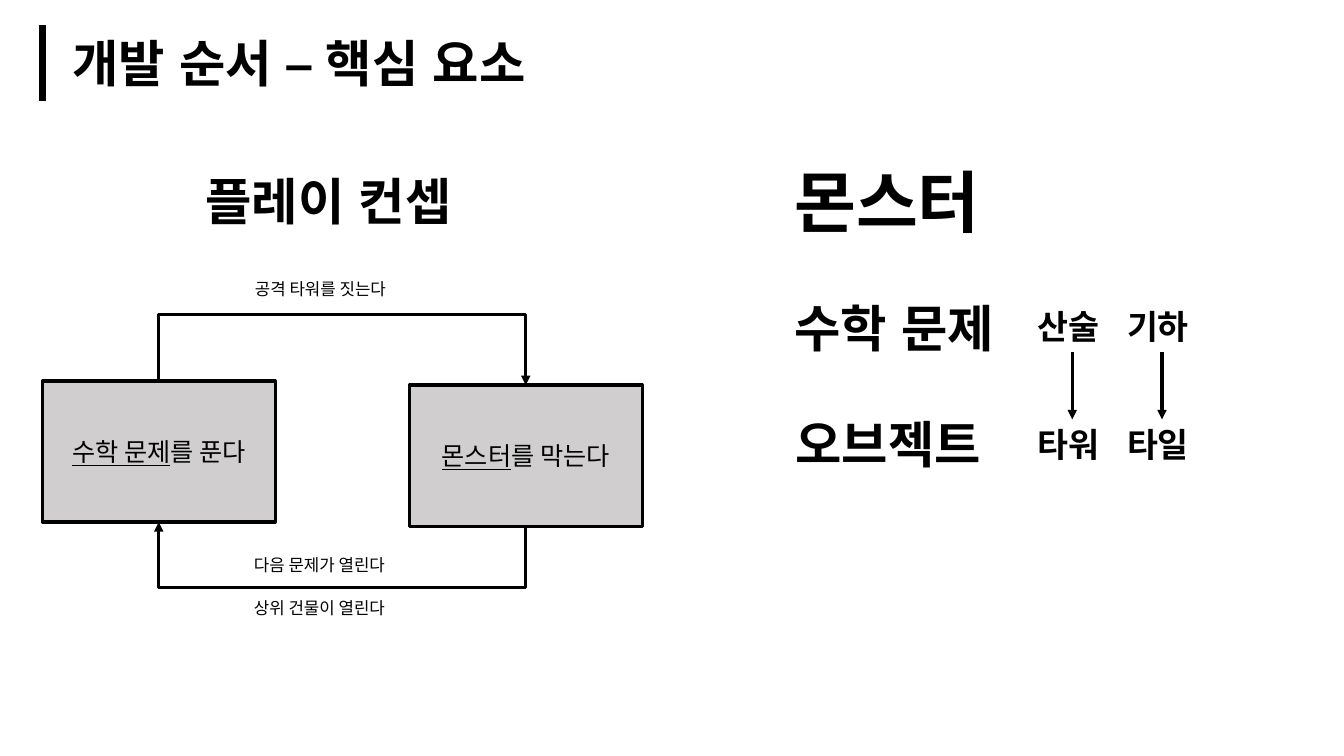
from lxml import etree
from pptx import Presentation
from pptx.dml.color import RGBColor
from pptx.enum.shapes import MSO_CONNECTOR, MSO_SHAPE
from pptx.enum.text import MSO_ANCHOR, MSO_AUTO_SIZE, PP_ALIGN
from pptx.oxml.ns import qn
from pptx.util import Inches, Pt

LINE, ELBOW = MSO_CONNECTOR.STRAIGHT, MSO_CONNECTOR.ELBOW
RECT = MSO_SHAPE.RECTANGLE
MIDDLE, CENTER = MSO_ANCHOR.MIDDLE, PP_ALIGN.CENTER
GROW = MSO_AUTO_SIZE.SHAPE_TO_FIT_TEXT
HEAD, BODY = "Montserrat", "Noto Sans CJK KR"
BLACK, GRAY = "000000", "D0CECE"

# Content: text, left, top, width, height, size
TITLES = [
    ("개발 순서 – 핵심 요소", 0.62, 0.27, 5.16, 0.71, 36),
    ("플레이 컨셉", 1.94, 1.64, 2.91, 0.71, 36),
    ("몬스터", 7.78, 1.54, 2.22, 0.91, 48),
    ("수학 문제", 7.78, 2.9, 2.41, 0.71, 36),
    ("오브젝트", 7.79, 4.05, 2.22, 0.71, 36),
]
PAIRS = [("산술", "타워"), ("기하", "타일")]
STEPS = [("수학 문제", "를 푼다", 0.42, 3.78), ("몬스터", "를 막는다", 4.06, 3.82)]
NOTES = [
    ("공격 타워를 짓는다", 2.43, 2.72),
    ("다음 문제가 열린다", 2.42, 5.45),
    ("상위 건물이 열린다", 2.42, 5.88),
]
STEP_W, STEP_H = 2.31, 1.4
LOOP_TOP, LOOP_END = 3.12, 5.83

prs = Presentation()
prs.slide_width, prs.slide_height = Inches(13.33), Inches(7.5)
slide = prs.slides.add_slide(prs.slide_layouts[6])
shapes = slide.shapes


def color(code):
    return RGBColor.from_string(code)


def write(par, text, size=12, font=BODY, bold=False, under=False):
    run = par.add_run()
    run.text = text
    face = run.font
    face.size, face.name = Pt(size), font
    face.bold, face.underline = bold, under
    face.color.rgb = color(BLACK)
    # East Asian glyphs use the same font
    etree.SubElement(run._r.get_or_add_rPr(), qn("a:ea")).set("typeface", font)


def label(text, x, y, w, h, wrap=True, **style):
    box = shapes.add_textbox(Inches(x), Inches(y), Inches(w), Inches(h))
    frame = box.text_frame
    frame.word_wrap, frame.auto_size = wrap, GROW
    write(frame.paragraphs[0], text, **style)
    return box


def link(kind, x1, y1, x2, y2, width=2.25, arrow=True):
    wire = shapes.add_connector(kind, Inches(x1), Inches(y1), Inches(x2), Inches(y2))
    wire.line.color.rgb, wire.line.width = color(BLACK), Pt(width)
    if arrow:
        tail = etree.SubElement(wire.line._get_or_add_ln(), qn("a:tailEnd"))
        tail.set("type", "triangle")
    etree.SubElement(wire._element.spPr, qn("a:effectLst"))
    return wire


def loop(x1, y1, x2, y2, turn, angle):
    """Bent arrow leaving (x1, y1), running along y = turn, ending at (x2, y2)."""
    mx, my = (x1 + x2) / 2, (y1 + y2) / 2
    span, gap = abs(x2 - x1), abs(y2 - y1)
    wire = link(ELBOW, mx + gap / 2, my - span / 2, mx - gap / 2, my + span / 2)
    geom = wire._element.spPr
    geom.find(qn("a:xfrm")).set("rot", str(angle * 60000))
    guides = geom.find(qn("a:prstGeom")).get_or_add_avLst()
    guide = etree.SubElement(guides, qn("a:gd"))
    guide.set("name", "adj1")
    guide.set("fmla", f"val {round(-abs(turn - y1) / gap * 100000)}")


# Titles and the bar at the left of the heading
for text, x, y, w, h, size in TITLES:
    label(text, x, y, w, h, size=size, font=HEAD, bold=True)
link(LINE, 0.42, 0.25, 0.42, 1, width=5, arrow=False)

# Play loop: two steps, two bent arrows, three notes
for key, rest, x, y in STEPS:
    step = shapes.add_shape(RECT, Inches(x), Inches(y), Inches(STEP_W), Inches(STEP_H))
    step.shadow.inherit = False
    step.fill.solid()
    step.fill.fore_color.rgb = color(GRAY)
    step.line.color.rgb, step.line.width = color(BLACK), Pt(2.25)
    step.text_frame.vertical_anchor = MIDDLE
    par = step.text_frame.paragraphs[0]
    par.alignment = CENTER
    write(par, key, size=18, under=True)
    write(par, rest, size=18)

(x1, y1), (x2, y2) = [(x + STEP_W / 2, y) for _, _, x, y in STEPS]
loop(x1, y1, x2, y2, LOOP_TOP, 270)
loop(x2, y2 + STEP_H, x1, y1 + STEP_H, LOOP_END, 90)

for text, x, y in NOTES:
    label(text, x, y, 1.94, 0.36, wrap=False)

# Problem kinds, each pointing to its object
for i, pair in enumerate(PAIRS):
    x = 10.19 + i * 0.89
    kind, thing = [
        label(text, x, y, 0.89, 0.5, size=24, font=HEAD, bold=True)
        for text, y in zip(pair, (2.99, 4.16))
    ]
    wire = link(LINE, x + 0.445, 3.49, x + 0.445, 4.16)
    wire.begin_connect(kind, 2)
    wire.end_connect(thing, 0)

prs.save("out.pptx")
